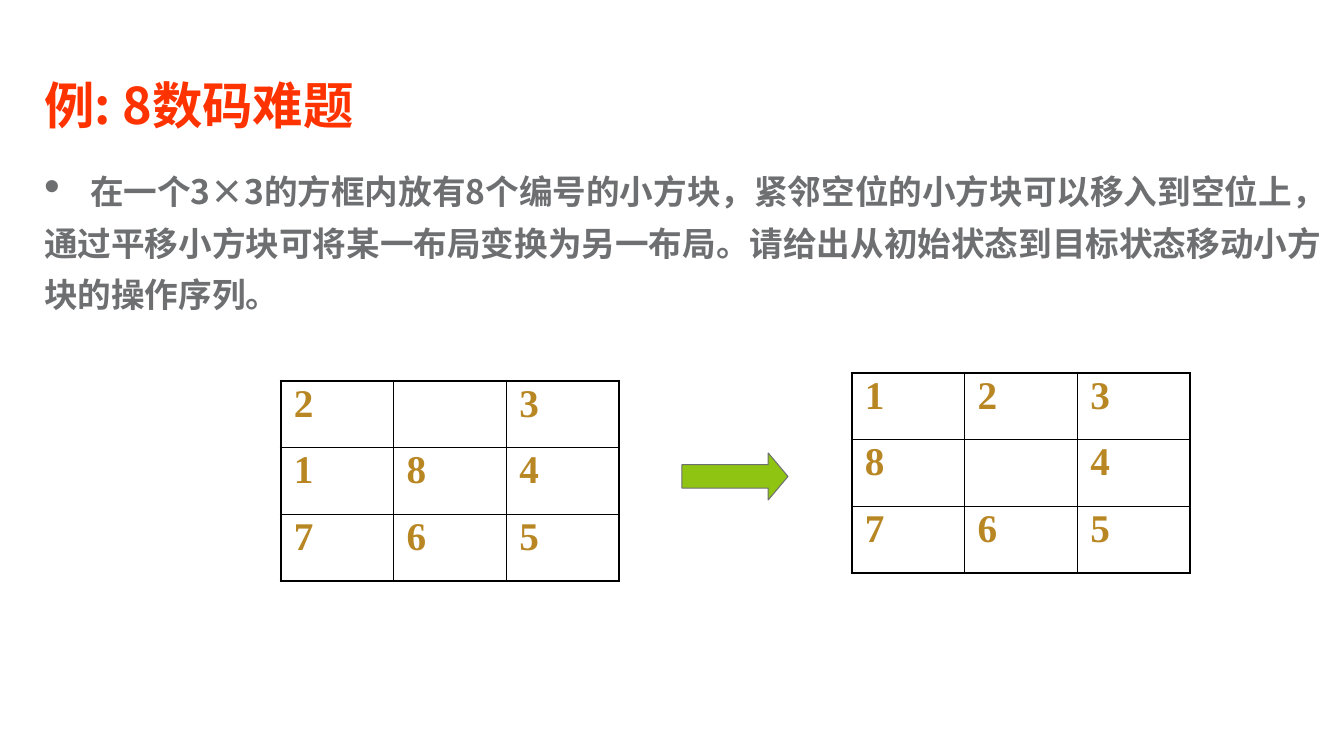
from dataclasses import dataclass

from lxml.etree import SubElement
from pptx import Presentation
from pptx.dml.color import RGBColor
from pptx.enum.shapes import MSO_SHAPE
from pptx.enum.text import MSO_ANCHOR, MSO_AUTO_SIZE, PP_ALIGN
from pptx.oxml.ns import qn
from pptx.util import Emu, Pt

EMU_PER_PX = 914400 / 100.8


def px(count):
    return Emu(round(count * EMU_PER_PX))


@dataclass(frozen=True)
class Theme:
    title_color: str = "FF3300"
    body_color: str = "6D6F71"
    digit_color: str = "B88723"
    arrow_color: str = "90C413"
    border_color: str = "000000"
    text_font: str = "Noto Sans CJK SC"
    digit_font: str = "Times New Roman"
    title_size: float = 36
    bullet_size: float = 32
    body_size: float = 24
    digit_size: float = 28
    outer_border: float = 2.25
    inner_border: float = 1
    arrow_line: float = 0.75


class PuzzleSlide:
    def __init__(self, presentation, theme):
        self.theme = theme
        self.slide = presentation.slides.add_slide(presentation.slide_layouts[1])

    def style_runs(self, paragraph, font_name, size, color):
        for run in paragraph.runs:
            run.font.name = font_name
            run.font.size = Pt(size)
            run.font.bold = True
            run.font.color.rgb = RGBColor.from_string(color)
            SubElement(run.font._element, qn("a:ea"), typeface=font_name)

    def fill_placeholder(self, shape, box, texts, size, color, line_spacing):
        """Place the shape and fill it with one paragraph, one run per text."""
        shape.left, shape.top, shape.width, shape.height = map(px, box)
        frame = shape.text_frame
        frame.word_wrap = True
        frame.auto_size = MSO_AUTO_SIZE.NONE
        frame.vertical_anchor = MSO_ANCHOR.TOP
        paragraph = frame.paragraphs[0]
        for text in texts:
            paragraph.add_run().text = text
        paragraph.alignment = PP_ALIGN.LEFT
        paragraph.line_spacing = line_spacing
        paragraph.space_before = Pt(0)
        self.style_runs(paragraph, self.theme.text_font, size, color)
        return paragraph

    def title(self, box, text):
        self.fill_placeholder(self.slide.shapes.title, box, [text],
                              self.theme.title_size, self.theme.title_color, 1.15)

    def bullet_text(self, box, text, text_start):
        """Fill the body with one bullet whose first line starts at a tab stop."""
        paragraph = self.fill_placeholder(self.slide.placeholders[1], box, ["\t", text],
                                          self.theme.body_size, self.theme.body_color, 1.25)
        paragraph.runs[0].font.size = Pt(self.theme.bullet_size)
        properties = paragraph._p.get_or_add_pPr()
        properties.set("marL", "0")
        properties.set("indent", "0")
        properties.set("hangingPunct", "0")
        SubElement(properties, qn("a:buFont"), typeface="Arial")
        SubElement(properties, qn("a:buChar"), char="•")
        tabs = SubElement(properties, qn("a:tabLst"))
        SubElement(tabs, qn("a:tab"), pos=str(px(text_start)), algn="l")

    def border(self, cell, side, width):
        line = SubElement(cell._tc.get_or_add_tcPr(), qn(f"a:ln{side}"), w=str(Pt(width)))
        fill = SubElement(line, qn("a:solidFill"))
        SubElement(fill, qn("a:srgbClr"), val=self.theme.border_color)

    def board(self, left, top, width, height, rows):
        """Draw a square puzzle board; a space marks the empty position."""
        count = len(rows)
        table = self.slide.shapes.add_table(
            count, count, px(left), px(top), px(width), px(height)).table
        table.first_row = table.horz_banding = False
        for index in range(count):
            table.columns[index].width = px(width / count)
            table.rows[index].height = px(height / count)
        for row, digits in enumerate(rows):
            for column, digit in enumerate(digits):
                cell = table.cell(row, column)
                cell.margin_left = cell.margin_right = px(13)
                cell.margin_top = cell.margin_bottom = px(5)
                edges = {"L": column == 0, "R": column == count - 1,
                         "T": row == 0, "B": row == count - 1}
                for side, is_outer in edges.items():
                    self.border(cell, side, self.theme.outer_border if is_outer
                                else self.theme.inner_border)
                cell.fill.background()
                cell.text_frame.text = digit.strip()
                paragraph = cell.text_frame.paragraphs[0]
                paragraph.line_spacing = 0.9
                self.style_runs(paragraph, self.theme.digit_font,
                                self.theme.digit_size, self.theme.digit_color)

    def arrow(self, left, top, width, height):
        shape = self.slide.shapes.add_shape(
            MSO_SHAPE.RIGHT_ARROW, px(left), px(top), px(width), px(height))
        shape.adjustments[0] = 0.5
        shape.adjustments[1] = 0.42
        shape.shadow.inherit = False
        shape.fill.solid()
        shape.fill.fore_color.rgb = RGBColor.from_string(self.theme.arrow_color)
        shape.line.color.rgb = RGBColor.from_string(self.theme.body_color)
        shape.line.width = Pt(self.theme.arrow_line)


def main():
    presentation = Presentation()
    presentation.slide_width, presentation.slide_height = px(1344), px(756)
    puzzle = PuzzleSlide(presentation, Theme())
    puzzle.title((34, 60, 1310, 80), "例: 8数码难题")
    puzzle.bullet_text(
        (34, 141, 1310, 501),
        "在一个3×3的方框内放有8个编号的小方块，紧邻空位的小方块可以移入到空位上，"
        "通过平移小方块可将某一布局变换为另一布局。请给出从初始状态到目标状态移动小方块的操作序列。",
        46)
    puzzle.board(281, 381, 338, 200, ["2 3", "184", "765"])
    puzzle.board(852, 373, 338, 200, ["123", "8 4", "765"])
    puzzle.arrow(682, 453, 106, 47)
    presentation.save("out.pptx")


if __name__ == "__main__":
    main()
